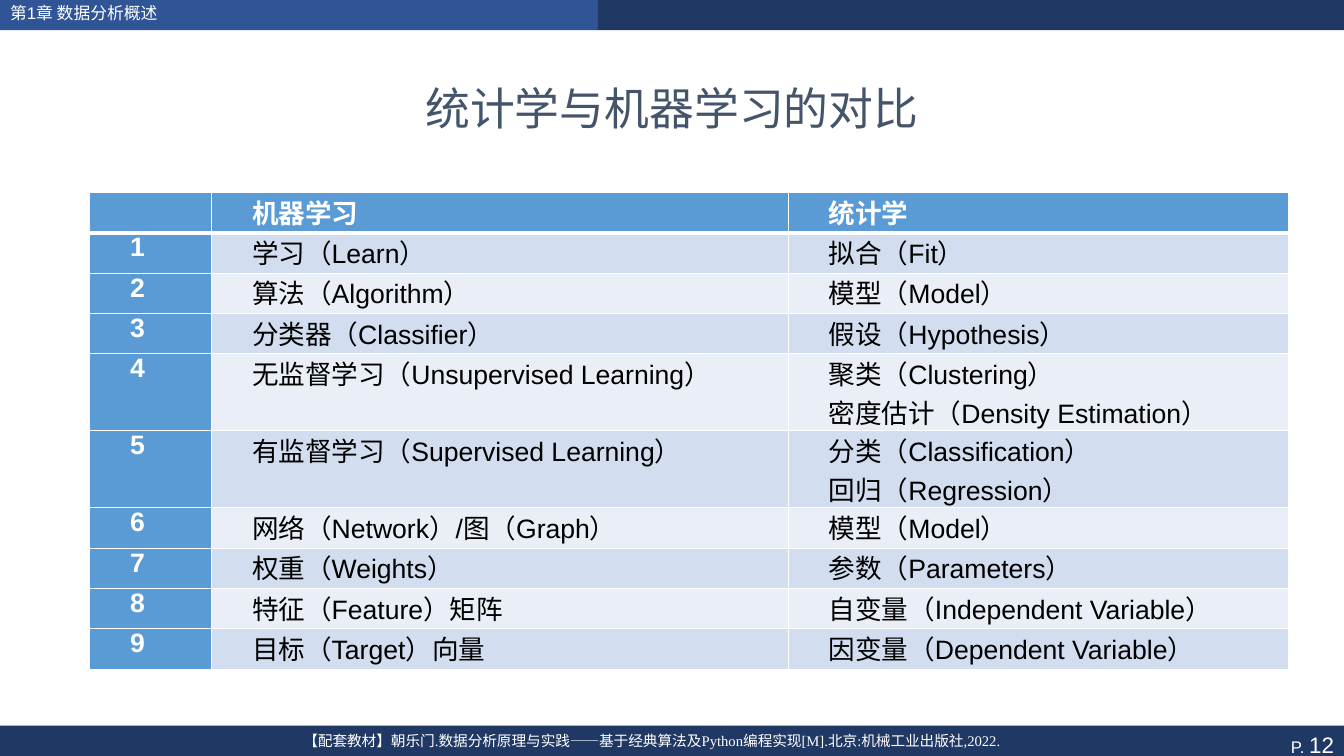
import pptx
import pptx.dml.color
import pptx.enum.shapes
import pptx.enum.text
import pptx.oxml.ns
import pptx.util
from lxml import etree

Inches = pptx.util.Inches
Pt = pptx.util.Pt
RGBColor = pptx.dml.color.RGBColor
Align = pptx.enum.text.PP_ALIGN
Anchor = pptx.enum.text.MSO_ANCHOR
qn = pptx.oxml.ns.qn

WHITE = RGBColor(0xFF, 0xFF, 0xFF)
BLACK = RGBColor(0, 0, 0)
NAVY = RGBColor(0x20, 0x38, 0x64)
BLUE = RGBColor(0x2F, 0x55, 0x97)
SLATE = RGBColor(0x44, 0x54, 0x6A)
HEAD_BLUE = RGBColor(0x5B, 0x9B, 0xD5)
BANDS = [RGBColor(0xD2, 0xDE, 0xEF), RGBColor(0xEA, 0xEF, 0xF7)]
CHINESE_FONT = "Noto Sans CJK SC"

TERMS = [
    ("机器学习", "统计学"),
    ("学习（Learn）", "拟合（Fit）"),
    ("算法（Algorithm）", "模型（Model）"),
    ("分类器（Classifier）", "假设（Hypothesis）"),
    ("无监督学习（Unsupervised Learning）", "聚类（Clustering）\n密度估计（Density Estimation）"),
    ("有监督学习（Supervised Learning）", "分类（Classification）\n回归（Regression）"),
    ("网络（Network）/图（Graph）", "模型（Model）"),
    ("权重（Weights）", "参数（Parameters）"),
    ("特征（Feature）矩阵", "自变量（Independent Variable）"),
    ("目标（Target）向量", "因变量（Dependent Variable）"),
]


def apply_format(target, values):
    for name, value in values.items():
        setattr(target, name, value)


def add_span(para, text, color, **values):
    span = para.add_run()
    span.text = text
    apply_format(span.font, values)
    span.font.color.rgb = color
    etree.SubElement(span.font._element, qn("a:ea"), typeface=CHINESE_FONT)


def set_indent(para, left, first):
    props = para._p.get_or_add_pPr()
    props.set("marL", str(Inches(left)))
    props.set("indent", str(Inches(first)))
    return props


def place(shape, left, top, width, height):
    apply_format(shape, dict(left=Inches(left), top=Inches(top),
                             width=Inches(width), height=Inches(height)))


def add_bar(page, left, top, width, height, color):
    bar = page.shapes.add_shape(pptx.enum.shapes.MSO_SHAPE.RECTANGLE, Inches(left),
                                Inches(top), Inches(width), Inches(height))
    bar.shadow.inherit = False
    bar.fill.solid()
    bar.fill.fore_color.rgb = color
    bar.line.fill.background()
    return bar


def add_footer(page):
    bar = add_bar(page, 0, 7.2, 13.33, 0.37, NAVY)
    number = bar.text_frame.paragraphs[0]
    number.alignment = Align.RIGHT
    add_span(number, "P. ", WHITE, size=Pt(12), name="Arial")
    add_span(number, "12", WHITE, size=Pt(16), name="Arial")

    box = page.shapes.add_textbox(Inches(0.6), Inches(7.21), Inches(11.73), Inches(0.35))
    box.text_frame.word_wrap = True
    source = box.text_frame.paragraphs[0]
    source.alignment = Align.CENTER
    set_indent(source, 0.38, -0.38)
    add_span(source, "【配套教材】朝乐门.数据分析原理与实践——基于经典算法及Python编程实现"
             "[M].北京:机械工业出版社,2022.", WHITE, size=Pt(10.5), name="Times New Roman")


def fill_title(title):
    place(title, 0.44, 0.62, 12.45, 0.9)
    title.text_frame.vertical_anchor = Anchor.MIDDLE
    para = title.text_frame.paragraphs[0]
    para.alignment = Align.CENTER
    add_span(para, "统计学与机器学习的对比", SLATE, size=Pt(32), name=CHINESE_FONT)


def fill_chapter(body):
    place(body, 0, 0, 4.83, 0.29)
    apply_format(body.text_frame, dict(auto_size=pptx.enum.text.MSO_AUTO_SIZE.NONE,
                                       vertical_anchor=Anchor.TOP))
    para = body.text_frame.paragraphs[0]
    etree.SubElement(set_indent(para, 0.38, -0.38), qn("a:buNone"))
    apply_format(para, dict(line_spacing=0.9, space_before=Pt(0)))
    add_span(para, "第1章 数据分析概述", WHITE, size=Pt(12), name="Arial")


def set_borders(cell, bottom):
    """White lines of 1 pt, with the bottom one as wide as given."""
    props = cell._tc.get_or_add_tcPr()
    for index, (side, width) in enumerate([("L", 1), ("R", 1), ("T", 1), ("B", bottom)]):
        line = etree.Element(qn(f"a:ln{side}"), w=str(Pt(width)))
        fill = etree.SubElement(line, qn("a:solidFill"))
        etree.SubElement(fill, qn("a:srgbClr"), val=str(WHITE))
        props.insert(index, line)


def fill_cell(cell, text, fill, heading, bottom):
    apply_format(cell, dict(margin_left=Inches(0.15), margin_right=Inches(0.15),
                            margin_top=0, margin_bottom=0))
    cell.fill.solid()
    cell.fill.fore_color.rgb = fill
    set_borders(cell, bottom)
    frame = cell.text_frame
    for index, line in enumerate(text.splitlines()):
        para = frame.add_paragraph() if index else frame.paragraphs[0]
        set_indent(para, 0, 0.25)
        add_span(para, line, WHITE if heading else BLACK,
                 size=Pt(19), bold=heading, name="Arial")


def add_comparison(page):
    table = page.shapes.add_table(len(TERMS), 3, Inches(0.89), Inches(1.91),
                                  Inches(11.89), Inches(4.66)).table
    table.first_col = True
    for column, width in zip(table.columns, (1.21, 5.72, 4.96)):
        column.width = Inches(width)
    for row, terms in enumerate(TERMS):
        table.rows[row].height = Inches(0.73 if "\n" in terms[1] else 0.4)
        for col, text in enumerate((str(row or ""), *terms)):
            heading = row == 0 or col == 0
            fill = HEAD_BLUE if heading else BANDS[(row - 1) % 2]
            # The header row is set off by a wider rule; the next row shares that edge
            fill_cell(table.cell(row, col), text, fill, heading, 1 if row else 3)
            if row == 1:
                top = table.cell(row, col)._tc.tcPr.find(qn("a:lnT"))
                top.set("w", str(Pt(3)))


def main():
    deck = pptx.Presentation()
    deck.slide_width, deck.slide_height = Inches(13.33), Inches(7.5)
    page = deck.slides.add_slide(deck.slide_layouts[1])
    title, body = page.placeholders
    add_bar(page, 0, 0, 5.93, 0.3, BLUE)
    add_bar(page, 5.93, 0, 7.4, 0.3, NAVY)
    add_footer(page)
    for holder, fill_holder in ((title, fill_title), (body, fill_chapter)):
        fill_holder(holder)
        page.shapes._spTree.append(holder._element)
    add_comparison(page)
    deck.save("out.pptx")


if __name__ == "__main__":
    main()
